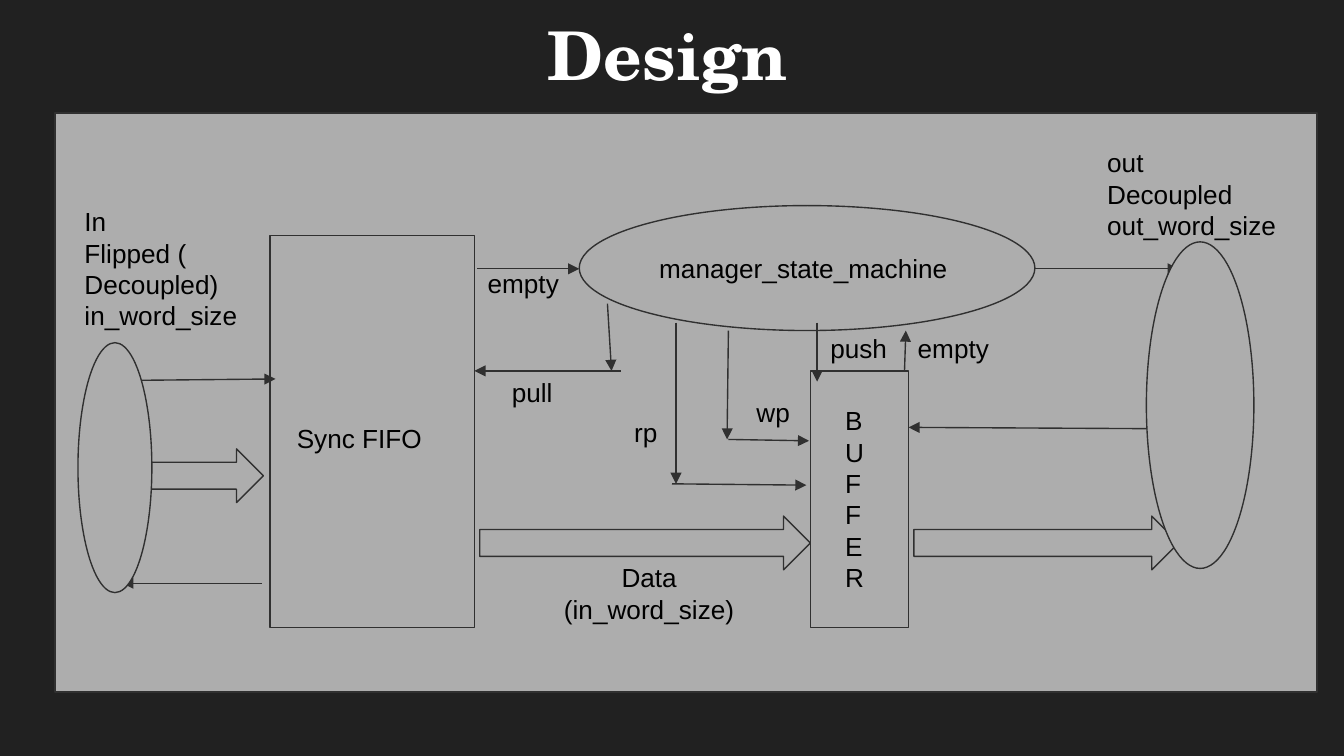
"""Build the design slide: a FIFO, a state machine and a buffer between two ports."""
from dataclasses import dataclass
from typing import Any

from lxml import etree
from pptx import Presentation, util as u
from pptx.dml import color
from pptx.enum import shapes, text
from pptx.oxml import ns

PX = 9144
NIGHT, GREY, INK, BLACK, WHITE = "212121", "ADADAD", "303030", "000000", "FFFFFF"
RECT = shapes.MSO_SHAPE.RECTANGLE
OVAL = shapes.MSO_SHAPE.OVAL
BLOCK_ARROW = shapes.MSO_SHAPE.RIGHT_ARROW


def px(length):
    """Turn px into EMU."""
    return u.Emu(length * PX)


def paint(target, hex_color):
    """Give a fill a solid colour."""
    target.solid()
    target.fore_color.rgb = color.RGBColor.from_string(hex_color)


def write(frame, lines, align=text.PP_ALIGN.LEFT, anchor=text.MSO_ANCHOR.TOP,
          font="Arial", size=14, hex_color=BLACK, bold=False):
    """Fill a text frame with one paragraph per line."""
    frame.word_wrap = True
    frame.vertical_anchor = anchor
    frame.margin_left = frame.margin_right = px(10)
    frame.margin_top = frame.margin_bottom = px(10)
    frame.text = "\n".join(lines)
    for paragraph in frame.paragraphs:
        paragraph.alignment = align
        paragraph.font.name = font
        paragraph.font.size = u.Pt(size)
        paragraph.font.bold = bold
        paragraph.font.color.rgb = color.RGBColor.from_string(hex_color)


@dataclass
class Region:
    """A box on the slide whose parts are placed relative to its corner."""
    canvas: Any
    left: int
    top: int
    width: int
    height: int

    def block(self, kind, x, y, width, height):
        """Add a grey outlined shape."""
        block = self.canvas.add_shape(
            kind, px(self.left + x), px(self.top + y), px(width), px(height))
        block.shadow.inherit = False
        paint(block.fill, GREY)
        paint(block.line.fill, INK)
        block.line.width = u.Pt(0.75)
        return block

    def outline(self, kind):
        """Add a shape that fills the region."""
        return self.block(kind, 0, 0, self.width, self.height)

    def label(self, x, y, width, height, *lines, align=text.PP_ALIGN.LEFT):
        """Add a text box."""
        label = self.canvas.add_textbox(
            px(self.left + x), px(self.top + y), px(width), px(height))
        write(label.text_frame, lines, align)

    def signal(self, x1, y1, x2, y2):
        """Add a thin line with an arrowhead at its end."""
        signal = self.canvas.add_connector(
            shapes.MSO_CONNECTOR.STRAIGHT, px(self.left + x1), px(self.top + y1),
            px(self.left + x2), px(self.top + y2))
        paint(signal.line.fill, INK)
        signal.line.width = u.Pt(0.75)
        line = signal.line._get_or_add_ln()
        etree.SubElement(line, ns.qn("a:tailEnd"), type="triangle")
        etree.SubElement(signal._element.spPr, ns.qn("a:effectLst"))


def heading(title, left, top, width, height):
    """Place and format the slide title."""
    title.left, title.top, title.width, title.height = map(px, (left, top, width, height))
    write(title.text_frame, ["Design"], text.PP_ALIGN.CENTER,
          font="TeX Gyre Schola", size=36, hex_color=WHITE, bold=True)


def panel(region):
    """Draw the grey ground of the diagram."""
    region.outline(RECT)


def sync_fifo(region):
    """Draw the FIFO with its name."""
    region.outline(RECT)
    region.label(10, 129, 132, 44, "Sync FIFO")


def buffer(region):
    """Draw the buffer, its name wrapping letter by letter."""
    region.outline(RECT)
    region.label(16, 15, 29, 162, "BUFFER")


def state_machine(region):
    """Draw the state machine and the signals it exchanges."""
    machine = region.outline(OVAL)
    write(machine.text_frame, ["manager_state_machine"], anchor=text.MSO_ANCHOR.MIDDLE)
    for ends in [(-76, 47, 0, 47),
                 (21, 73, 24, 123), (31, 123, -78, 123),
                 (72, 87, 72, 207), (69, 207, 169, 208),
                 (111, 93, 110, 174), (111, 174, 171, 175),
                 (177, 87, 177, 131), (242, 123, 243, 93)]:
        region.signal(*ends)
    for name, x, y in [("empty", -78, 36), ("pull", -60, 117), ("rp", 31, 147),
                       ("wp", 122, 132), ("push", 177, 84), ("empty", 242, 84)]:
        region.label(x, y, 90, 44, name)


def data_path(region):
    """Draw the wide arrow from FIFO to buffer with its caption."""
    region.outline(BLOCK_ARROW)
    region.label(50, 24, 152, 67, "Data", "(in_word_size)", align=text.PP_ALIGN.CENTER)


def input_port(region):
    """Draw the input port, its caption and its links to the FIFO."""
    region.block(BLOCK_ARROW, 32, 79, 106, 40)
    region.signal(44, 28, 147, 27)
    region.signal(137, 179, 33, 179)
    region.outline(OVAL)
    region.label(-5, -112, 142, 114, "In", "Flipped (", "Decoupled)", "in_word_size")


def output_port(region):
    """Draw the output port, its caption and its links to the machine and buffer."""
    region.block(BLOCK_ARROW, -173, 204, 197, 40)
    region.signal(-83, 20, 24, 20)
    region.signal(7, 139, -177, 138)
    region.outline(OVAL)
    region.label(-39, -81, 160, 91, "out", "Decoupled", "out_word_size")


def main():
    """Assemble and save the slide."""
    deck = Presentation()
    deck.slide_width, deck.slide_height = px(1000), px(1000) * 9 // 16
    slide = deck.slides.add_slide(deck.slide_layouts[5])
    paint(slide.background.fill, NIGHT)
    heading(slide.shapes.title, 0, 0, 994, 107)
    for draw, box in [(panel, (41, 84, 939, 431)),
                      (sync_fifo, (201, 175, 152, 292)),
                      (buffer, (603, 276, 73, 191)),
                      (state_machine, (431, 153, 339, 93)),
                      (data_path, (357, 384, 246, 40)),
                      (input_port, (58, 255, 55, 186)),
                      (output_port, (853, 180, 80, 243))]:
        draw(Region(slide.shapes, *box))
    deck.save("out.pptx")


if __name__ == "__main__":
    main()
